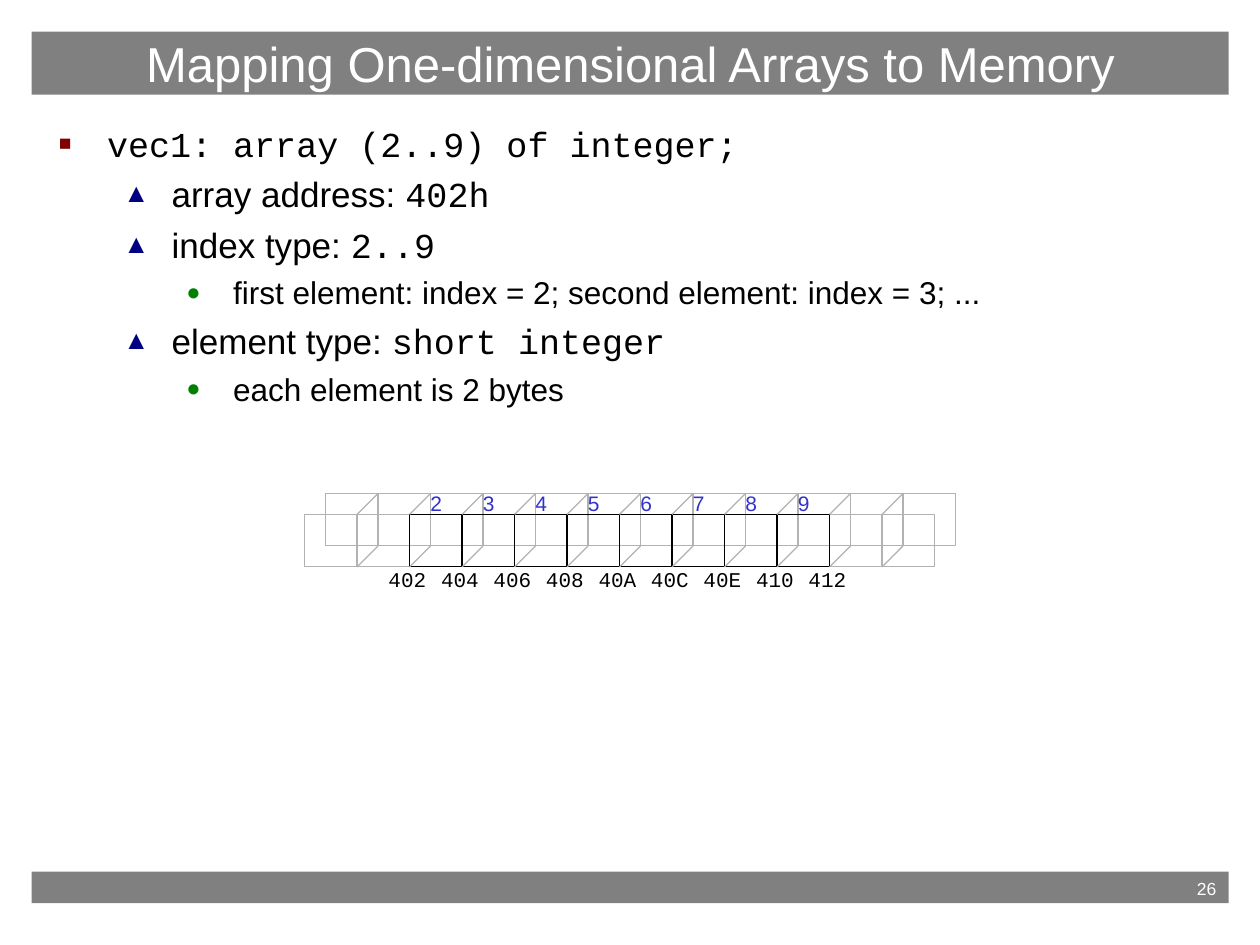
from lxml import etree
from pptx import Presentation
from pptx.dml.color import RGBColor
from pptx.enum.shapes import MSO_CONNECTOR, MSO_SHAPE
from pptx.enum.text import MSO_ANCHOR, MSO_AUTO_SIZE, PP_ALIGN
from pptx.oxml.ns import qn
from pptx.util import Cm, Pt

RECTANGLE, STRAIGHT = MSO_SHAPE.RECTANGLE, MSO_CONNECTOR.STRAIGHT
TOP, MIDDLE = MSO_ANCHOR.TOP, MSO_ANCHOR.MIDDLE
LEFT, CENTER, RIGHT = PP_ALIGN.LEFT, PP_ALIGN.CENTER, PP_ALIGN.RIGHT
NO_AUTOFIT = MSO_AUTO_SIZE.NONE

WHITE = RGBColor(0xFF, 0xFF, 0xFF)
BLACK = RGBColor(0x00, 0x00, 0x00)
BAR_GRAY = RGBColor(0x80, 0x80, 0x80)
CELL_GRAY = RGBColor(0xB2, 0xB2, 0xB2)
INDEX_BLUE = RGBColor(0x33, 0x33, 0xCC)
MAROON = RGBColor(0x80, 0x00, 0x00)
NAVY = RGBColor(0x00, 0x00, 0x80)
GREEN = RGBColor(0x00, 0x80, 0x00)
SANS, MONO = "Arial", "Courier New"

TITLE = "Mapping One-dimensional Arrays to Memory"
PAGE_NUMBER = "26"
OUTLINE = [
    (0, [("vec1: array (2..9) of integer;", MONO)]),
    (1, [("array address: ", SANS), ("402h", MONO)]),
    (1, [("index type: ", SANS), ("2..9", MONO)]),
    (2, [("first element: index = 2; second element: index = 3; ...", SANS)]),
    (1, [("element type: ", SANS), ("short integer", MONO)]),
    (2, [("each element is 2 bytes", SANS)]),
]
LEVELS = [
    {"bullet": "■", "color": MAROON, "scale": 60, "margin": 1.27, "hang": 0.97, "size": 20, "before": 5},
    {"bullet": "▲", "color": NAVY, "scale": 75, "margin": 2.57, "hang": 0.97, "size": 20, "before": 5},
    {"bullet": "●", "color": GREEN, "scale": 75, "margin": 3.81, "hang": 0.94, "size": 18, "before": 4.5},
]
INDEXES = ["2", "3", "4", "5", "6", "7", "8", "9"]
ADDRESSES = ["402", "404", "406", "408", "40A", "40C", "40E", "410", "412"]

MARGIN, BAR_WIDTH = 0.64, 24.13
SPARE_CELLS = 2
CELL_COUNT = len(INDEXES) + 2 * SPARE_CELLS
ROW_LEFT, ROW_TOP, ROW_WIDTH = 6.14, 10.37, 12.7
CELL = ROW_WIDTH / CELL_COUNT
DEPTH = 0.4 * CELL
LABEL_HEIGHT = 0.51


def apply(target, values):
    for attribute, value in values.items():
        setattr(target, attribute, value)


def add_run(paragraph, text, font_name, size, color):
    run = paragraph.add_run()
    run.text = text
    apply(run.font, {"name": font_name, "size": Pt(size)})
    run.font.color.rgb = color


def set_frame(frame, anchor, wrap=True, inset_x=0.25, inset_y=0.13):
    apply(frame, {
        "auto_size": NO_AUTOFIT, "word_wrap": wrap, "vertical_anchor": anchor,
        "margin_left": Cm(inset_x), "margin_right": Cm(inset_x),
        "margin_top": Cm(inset_y), "margin_bottom": Cm(inset_y),
    })


def fill_bar(bar, text, size, align, anchor):
    bar.fill.solid()
    bar.fill.fore_color.rgb = BAR_GRAY
    bar.line.fill.background()
    set_frame(bar.text_frame, anchor)
    paragraph = bar.text_frame.paragraphs[0]
    paragraph.alignment = align
    add_run(paragraph, text, SANS, size, WHITE)


def add_bullet(paragraph, style):
    properties = paragraph._p.get_or_add_pPr()
    properties.set("marL", str(Cm(style["margin"])))
    properties.set("indent", str(-Cm(style["hang"])))
    bullet_color = etree.SubElement(properties, qn("a:buClr"))
    etree.SubElement(bullet_color, qn("a:srgbClr"), val=str(style["color"]))
    etree.SubElement(properties, qn("a:buSzPct"), val=str(style["scale"] * 1000))
    etree.SubElement(properties, qn("a:buFont"), typeface=SANS)
    etree.SubElement(properties, qn("a:buChar"), char=style["bullet"])


def add_outline(shapes):
    outline = shapes.add_textbox(Cm(MARGIN), Cm(2.33), Cm(BAR_WIDTH), Cm(14.82))
    frame = outline.text_frame
    set_frame(frame, TOP)
    for number, (level, parts) in enumerate(OUTLINE):
        paragraph = frame.add_paragraph() if number else frame.paragraphs[0]
        style = LEVELS[level]
        apply(paragraph, {"level": level, "alignment": LEFT, "space_before": Pt(style["before"])})
        add_bullet(paragraph, style)
        for text, font_name in parts:
            add_run(paragraph, text, font_name, style["size"], BLACK)


def add_cell(shapes, left, top, color):
    cell = shapes.add_shape(RECTANGLE, Cm(left), Cm(top), Cm(CELL), Cm(CELL))
    cell.shadow.inherit = False
    cell.fill.background()
    cell.line.color.rgb = color
    cell.line.width = Pt(0.75)


def add_depth_edge(shapes, x, y):
    edge = shapes.add_connector(STRAIGHT, Cm(x + DEPTH), Cm(y - DEPTH), Cm(x), Cm(y))
    edge.line.color.rgb = CELL_GRAY
    edge.line.width = Pt(0.75)
    etree.SubElement(edge._element.spPr, qn("a:effectLst"))


def add_label(shapes, text, left, top, width, font_name, color):
    label = shapes.add_textbox(Cm(left), Cm(top), Cm(width), Cm(LABEL_HEIGHT))
    set_frame(label.text_frame, MIDDLE, wrap=False, inset_x=0, inset_y=0)
    paragraph = label.text_frame.paragraphs[0]
    paragraph.alignment = CENTER
    add_run(paragraph, text, font_name, 12, color)


def add_memory(shapes):
    edges = [ROW_LEFT + number * CELL for number in range(CELL_COUNT)]
    array_edges = edges[SPARE_CELLS:-SPARE_CELLS]
    for left in edges[:SPARE_CELLS] + edges[-SPARE_CELLS:]:
        add_cell(shapes, left, ROW_TOP, CELL_GRAY)
    for left in edges:
        add_cell(shapes, left + DEPTH, ROW_TOP - DEPTH, CELL_GRAY)
    for left in array_edges:
        add_cell(shapes, left, ROW_TOP, BLACK)
    for x in edges[1:]:
        for y in (ROW_TOP, ROW_TOP + CELL):
            add_depth_edge(shapes, x, y)
    for address, x in zip(ADDRESSES, edges[SPARE_CELLS:]):
        add_label(shapes, address, x - DEPTH, ROW_TOP + CELL, 0.76, MONO, BLACK)
    for index, x in zip(INDEXES, array_edges):
        add_label(shapes, index, x + DEPTH, 9.88, 0.23, SANS, INDEX_BLUE)


def main():
    presentation = Presentation()
    apply(presentation, {"slide_width": Cm(25.4), "slide_height": Cm(19.05)})
    slide = presentation.slides.add_slide(presentation.slide_layouts[5])
    shapes = slide.shapes

    title = shapes.title
    apply(title, {"left": Cm(MARGIN), "top": Cm(MARGIN), "width": Cm(BAR_WIDTH), "height": Cm(1.27)})
    fill_bar(title, TITLE, 28, CENTER, MIDDLE)

    footer = shapes.add_shape(RECTANGLE, Cm(MARGIN), Cm(17.57), Cm(BAR_WIDTH), Cm(0.64))
    footer.shadow.inherit = False
    fill_bar(footer, PAGE_NUMBER, 10, RIGHT, TOP)

    add_outline(shapes)
    add_memory(shapes)
    presentation.save("out.pptx")


if __name__ == "__main__":
    main()
